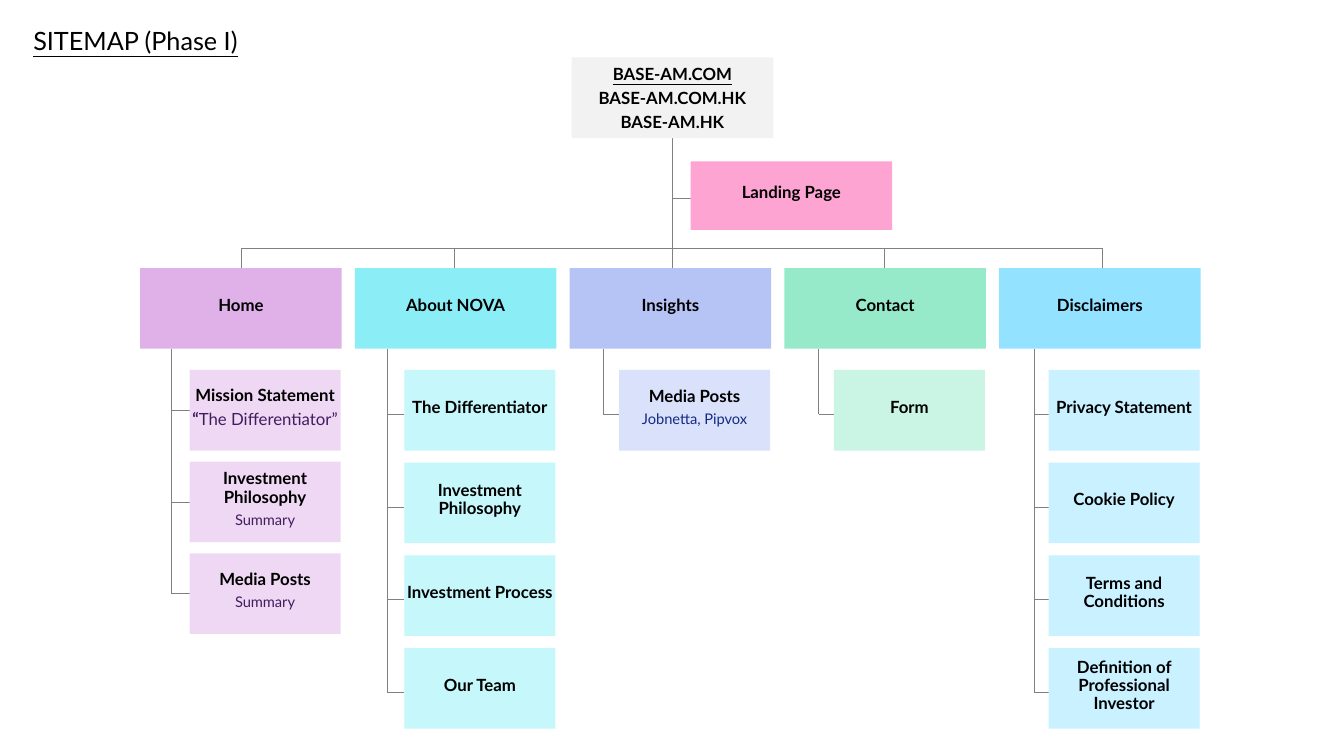
from dataclasses import dataclass

from lxml.etree import SubElement
from pptx import Presentation
from pptx.dml.color import RGBColor
from pptx.enum.shapes import MSO_CONNECTOR, MSO_SHAPE
from pptx.enum.text import MSO_ANCHOR, MSO_AUTO_SIZE, PP_ALIGN
from pptx.oxml.ns import qn
from pptx.util import Inches, Pt

HUES = {
    "ink": "000000", "line": "808080", "root": "F2F2F2", "land": "FEA4D3",
    "plum": "E0B1E9", "lilac": "EFD8F4", "grape": "421C5E",
    "aqua": "8BEEF6", "ice": "C5F7FB",
    "blue": "B6C3F5", "mist": "DAE1FA", "navy": "132A84",
    "green": "96EACA", "mint": "CAF5E5",
    "sky": "93E2FF", "pale": "C9F1FF",
}


@dataclass
class Run:
    text: str
    size: float = 12
    bold: bool = True
    hue: str = "ink"
    under: bool = False


@dataclass
class Branch:
    name: str
    hue: str
    tint: str
    kids: list[list[list[Run]]]
    pitch: float = 0.92
    tick: float = 4.11


def label(*texts: str) -> list[list[Run]]:
    return [[Run(text)] for text in texts]


def noted(text: str, note: str, hue: str) -> list[list[Run]]:
    return [[Run(text)], [Run(note, 10.5, False, hue)]]


QUOTE = [Run("“", hue="grape"), Run("The Differentiator”", bold=False, hue="grape")]
BRANCHES = [
    Branch("Home", "plum", "lilac", [
        [[Run("Mission Statement")], QUOTE],
        noted("Investment Philosophy", "Summary", "grape"),
        noted("Media Posts", "Summary", "grape"),
    ], pitch=0.91, tick=4.07),
    Branch("About NOVA", "aqua", "ice", [
        label("The Differentiator"), label("Investment Philosophy"),
        label("Investment Process"), label("Our Team"),
    ]),
    Branch("Insights", "blue", "mist", [
        noted("Media Posts", "Jobnetta, Pipvox", "navy"),
    ]),
    Branch("Contact", "green", "mint", [label("Form")]),
    Branch("Disclaimers", "sky", "pale", [
        label("Privacy Statement"), label("Cookie Policy"),
        label("Terms and Conditions"),
        label("Definition of Professional Investor"),
    ]),
]
ROOT = [[Run("BASE-AM.COM", under=True)], *label("BASE-AM.COM.HK", "BASE-AM.HK")]
DROPS = [2.39, 4.51, 6.67, 8.77, 10.93]
STEM, BUS, HEAD, TALL = 6.67, 2.46, 2.66, 0.8


def tone(hue: str) -> RGBColor:
    return RGBColor.from_string(HUES[hue])


def write(para, text: str, *, size: float = 12, bold: bool = True,
          hue: str = "ink", under: bool = False) -> None:
    run = para.add_run()
    run.text = text
    font = run.font
    font.name, font.size = "Lato", Pt(size)
    font.bold, font.underline = bold, under
    font.color.rgb = tone(hue)


def link(slide, x: float, y: float, to_x: float, to_y: float) -> None:
    line = slide.shapes.add_connector(
        MSO_CONNECTOR.STRAIGHT, Inches(x), Inches(y), Inches(to_x), Inches(to_y))
    line.line.color.rgb = tone("line")
    line.line.width = Pt(0.5)
    SubElement(line._element.spPr, qn("a:effectLst"))


def box(slide, x: float, y: float, wide: float, tall: float, hue: str,
        lines: list[list[Run]], anchor=MSO_ANCHOR.MIDDLE) -> None:
    shape = slide.shapes.add_shape(
        MSO_SHAPE.RECTANGLE, Inches(x), Inches(y), Inches(wide), Inches(tall))
    shape.shadow.inherit = False
    shape.fill.solid()
    shape.fill.fore_color.rgb = tone(hue)
    shape.line.fill.background()
    frame = shape.text_frame
    frame.word_wrap = True
    frame.vertical_anchor = anchor
    frame.margin_left = frame.margin_right = frame.margin_top = Inches(0.01)
    frame.margin_bottom = Inches(0.06)
    for row, runs in enumerate(lines):
        para = frame.add_paragraph() if row else frame.paragraphs[0]
        para.alignment = PP_ALIGN.CENTER
        para.line_spacing = 0.9
        para.space_after = Pt(4.2)
        for run in runs:
            write(para, run.text, size=run.size, bold=run.bold,
                  hue=run.hue, under=run.under)


def head(slide) -> None:
    title = slide.shapes.title
    title.left, title.top = Inches(0.23), Inches(0.2)
    title.width, title.height = Inches(2.65), Inches(0.4)
    frame = title.text_frame
    frame.word_wrap = True
    frame.auto_size = MSO_AUTO_SIZE.NONE
    frame.vertical_anchor = MSO_ANCHOR.TOP
    para = frame.paragraphs[0]
    para.alignment = PP_ALIGN.LEFT
    write(para, "SITEMAP (Phase I)", size=18, bold=False, under=True)


def grow(slide, index: int, branch: Branch) -> None:
    left = 1.39 + 2.13 * index
    trunk = 1.7 + 2.14 * index
    last = branch.tick + branch.pitch * (len(branch.kids) - 1)
    link(slide, trunk, HEAD + TALL, trunk, last)
    box(slide, left, HEAD, 2, TALL, branch.hue, label(branch.name))
    for row, lines in enumerate(branch.kids):
        drop = branch.pitch * row
        link(slide, trunk, branch.tick + drop, left + 0.49, branch.tick + drop)
        box(slide, left + 0.49, 3.67 + drop, 1.5, TALL, branch.tint, lines)


def main() -> None:
    deck = Presentation()
    deck.slide_width, deck.slide_height = Inches(13.33), Inches(7.5)
    slide = deck.slides.add_slide(deck.slide_layouts[5])
    head(slide)
    link(slide, STEM, 1.37, STEM, BUS)
    link(slide, DROPS[0], BUS, DROPS[-1], BUS)
    for x in DROPS:
        link(slide, x, BUS, x, HEAD)
    link(slide, STEM, 1.97, 6.85, 1.97)
    box(slide, 5.67, 0.57, 2, TALL, "root", ROOT, MSO_ANCHOR.BOTTOM)
    box(slide, 6.85, 1.6, 2, 0.68, "land", label("Landing Page"))
    for index, branch in enumerate(BRANCHES):
        grow(slide, index, branch)
    deck.save("out.pptx")


if __name__ == "__main__":
    main()
